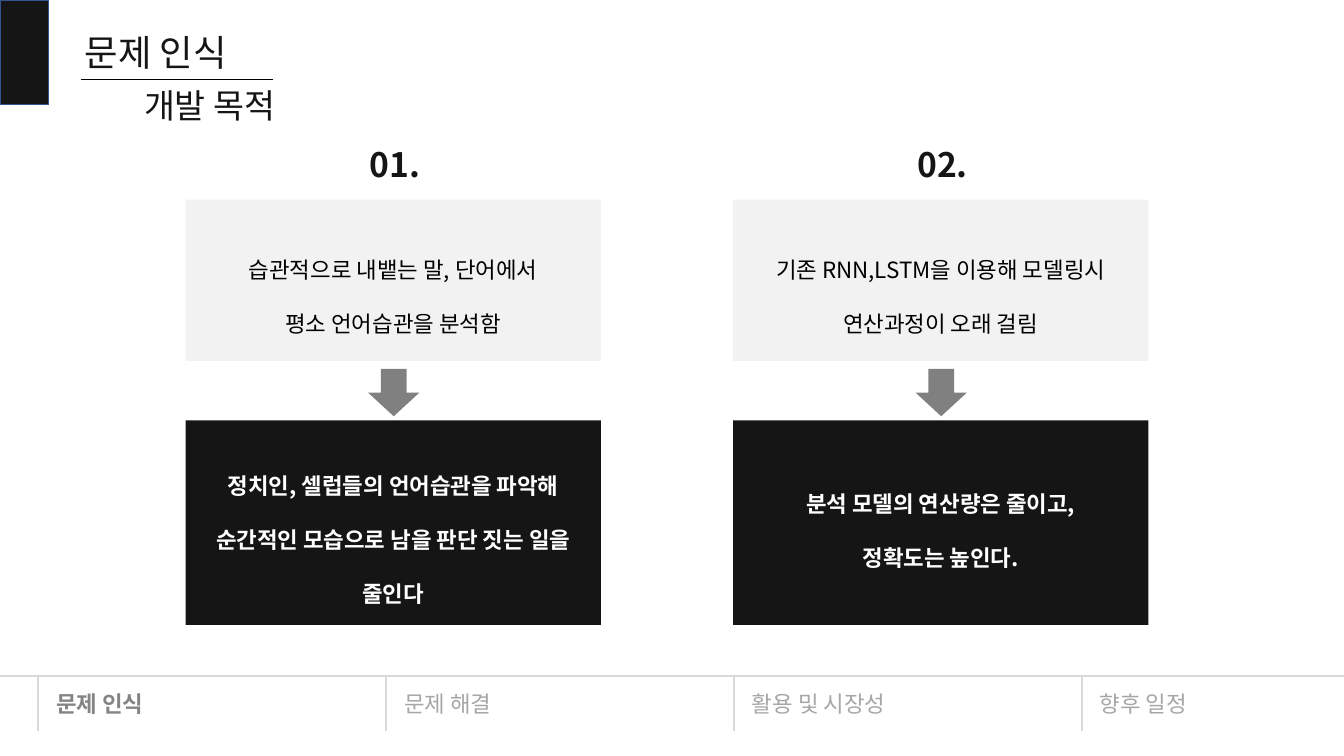
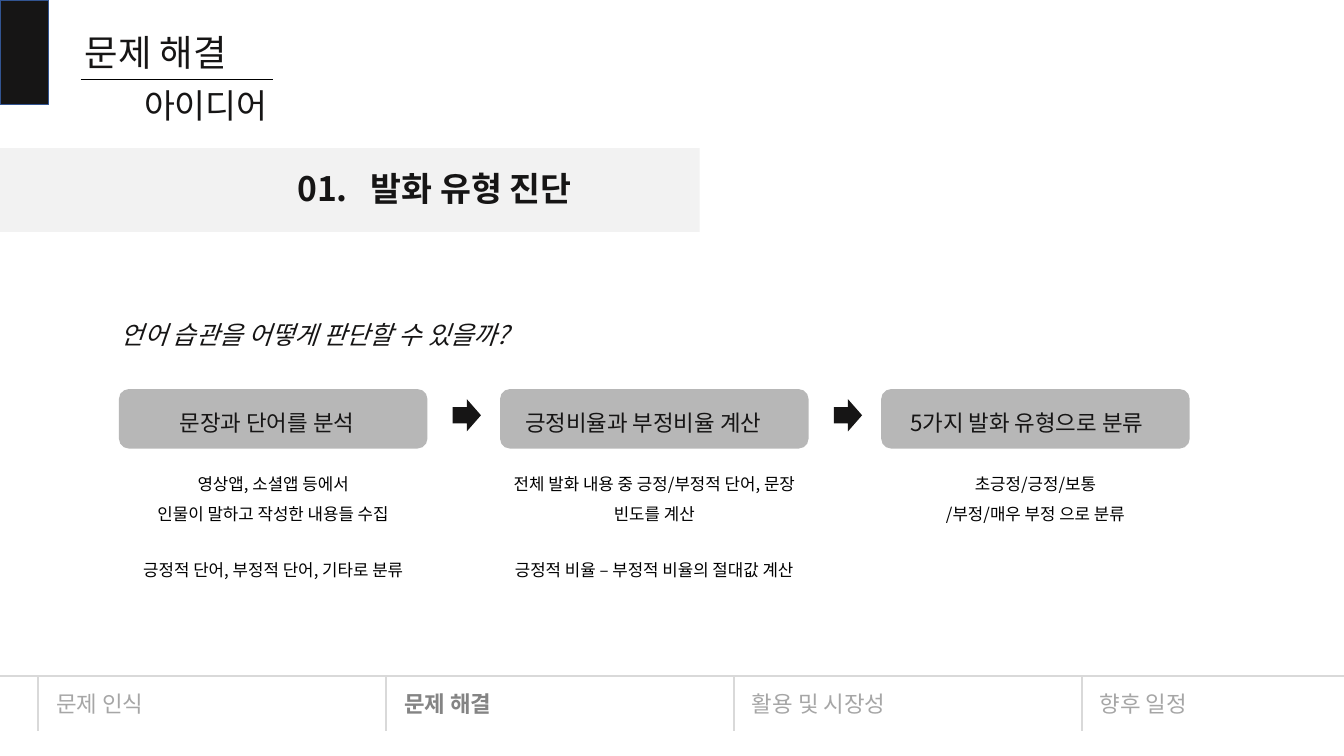
from dataclasses import dataclass

from lxml import etree
from pptx import Presentation
from pptx.dml.color import RGBColor
from pptx.enum import shapes, text
from pptx.oxml.ns import qn
from pptx.util import Inches, Pt

SHAPE = shapes.MSO_SHAPE
CENTER = text.PP_ALIGN.CENTER


@dataclass(frozen=True)
class Theme:
    font: str = "Noto Sans CJK KR"
    ink: str = "161515"
    black: str = "000000"
    white: str = "FFFFFF"
    panel: str = "F2F2F2"
    card: str = "B7B7B7"
    arrow: str = "808080"
    rule: str = "D9D9D9"
    tab: str = "A6A6A6"
    active_tab: str = "848484"
    marker_line: str = "325491"
    title: int = 26
    heading: int = 24
    question: int = 18
    body: int = 16
    detail: int = 12


THEME = Theme()
SLIDE_WIDTH, SLIDE_HEIGHT = 13.33, 7.5
SECTIONS = ["문제 인식", "문제 해결", "활용 및 시장성", "향후 일정"]

# Each purpose: number, problem (width, lines), goal (top, height, lines)
PURPOSES = [
    ("01.",
     (3.34, ["습관적으로 내뱉는 말, 단어에서 평소 언어습관을 분석함"]),
     (4.37, 1.64, ["정치인, 셀럽들의 언어습관을 파악해 순간적인 모습으로 "
                   "남을 판단 짓는 일을 줄인다"])),
    ("02.",
     (3.73, ["기존 RNN,LSTM을 이용해 모델링시", "연산과정이 오래 걸림"]),
     (4.55, 1.1, ["분석 모델의 연산량은 줄이고,", "정확도는 높인다."])),
]

IDEA_HEADING = "01.\t발화 유형 진단"
IDEA_QUESTION = "언어 습관을 어떻게 판단할 수 있을까?"
# Each step: label, label width, detail blocks
STEPS = [
    ("문장과 단어를 분석", 2.05,
     [["영상앱, 소셜앱 등에서", "인물이 말하고 작성한 내용들 수집"],
      ["긍정적 단어, 부정적 단어, 기타로 분류"]]),
    ("긍정비율과 부정비율 계산", 2.76,
     [["전체 발화 내용 중 긍정/부정적 단어, 문장 빈도를 계산"],
      ["긍정적 비율 – 부정적 비율의 절대값 계산"]]),
    ("5가지 발화 유형으로 분류", 2.68,
     [["초긍정/긍정/보통", "/부정/매우 부정 으로 분류"]]),
]
DETAIL_ROWS = [(4.55, 0.67), (5.4, 0.37)]


def rgb(color):
    return RGBColor.from_string(color)


def add_block(slide, kind, left, top, width, height, fill, line=None):
    shape = slide.shapes.add_shape(
        kind, Inches(left), Inches(top), Inches(width), Inches(height))
    shape.shadow.inherit = False
    shape.fill.solid()
    shape.fill.fore_color.rgb = rgb(fill)
    if line:
        shape.line.color.rgb = rgb(line)
        shape.line.width = Pt(1)
    else:
        shape.line.fill.background()


def add_text(slide, lines, left, top, width, height, size, color=THEME.ink,
             bold=False, italic=False, align=None, spacing=None, tab=None):
    box = slide.shapes.add_textbox(
        Inches(left), Inches(top), Inches(width), Inches(height))
    frame = box.text_frame
    frame.word_wrap = True
    frame.auto_size = text.MSO_AUTO_SIZE.SHAPE_TO_FIT_TEXT
    for index, line in enumerate(lines):
        paragraph = frame.add_paragraph() if index else frame.paragraphs[0]
        paragraph.text = line
        paragraph.alignment = align
        paragraph.line_spacing = spacing
        properties = paragraph._p.get_or_add_pPr()
        if tab:
            tabs = etree.SubElement(properties, qn("a:tabLst"))
            etree.SubElement(tabs, qn("a:tab"), pos=str(Inches(tab)), algn="l")
        font = paragraph.font
        font.name, font.size = THEME.font, Pt(size)
        font.bold, font.italic = bold, italic
        font.color.rgb = rgb(color)
        etree.SubElement(properties.find(qn("a:defRPr")), qn("a:ea"),
                         typeface=THEME.font)


def add_rule(slide, x1, y1, x2, y2, color=THEME.rule, width=1.25):
    line = slide.shapes.add_connector(
        shapes.MSO_CONNECTOR.STRAIGHT,
        Inches(x1), Inches(y1), Inches(x2), Inches(y2))
    line.line.color.rgb = rgb(color)
    line.line.width = Pt(width)
    etree.SubElement(line._element.spPr, qn("a:effectLst"))


def add_frame(slide, section, subtitle):
    """Draw the corner marker, the two-line title and the section footer."""
    add_block(slide, SHAPE.RECTANGLE, 0, 0, 0.48, 1.04, THEME.ink,
              THEME.marker_line)
    add_text(slide, [section], 0.74, 0.25, 5.51, 0.54, THEME.title)
    add_text(slide, [subtitle], 1.33, 0.79, 1.98, 0.5, THEME.heading)
    add_rule(slide, 0.8, 0.79, 2.71, 0.79, THEME.black, 0.5)

    footer_top = 6.71
    add_rule(slide, 0, footer_top, SLIDE_WIDTH, footer_top)
    for index, name in enumerate(SECTIONS):
        left = 0.38 + 3.45 * index
        active = name == section
        add_rule(slide, left, footer_top, left, footer_top + 0.54)
        add_text(slide, [name], left + 0.08, 6.8, 1.98, 0.37, THEME.body,
                 THEME.active_tab if active else THEME.tab, bold=active)


def build_purpose(slide):
    panel_width = 4.12
    for index, (number, problem, goal) in enumerate(PURPOSES):
        left = 1.84 + 5.43 * index
        center = left + panel_width / 2
        add_block(slide, SHAPE.RECTANGLE, left, 1.98, panel_width, 1.6,
                  THEME.panel)
        add_block(slide, SHAPE.RECTANGLE, left, 4.17, panel_width, 2.03,
                  THEME.ink)
        add_block(slide, SHAPE.DOWN_ARROW, center - 0.25, 3.66, 0.51, 0.47,
                  THEME.arrow)
        add_text(slide, [number], left + 1.73, 1.38, 1.18, 0.5, THEME.heading,
                 bold=True)
        width, lines = problem
        add_text(slide, lines, center - width / 2, 2.23, width, 1.1,
                 THEME.body, THEME.black, align=CENTER, spacing=2.0)
        top, height, lines = goal
        add_text(slide, lines, center - 1.9, top, 3.8, height, THEME.body,
                 THEME.white, bold=True, align=CENTER, spacing=2.0)


def build_idea(slide):
    add_block(slide, SHAPE.RECTANGLE, 0, 1.47, 6.94, 0.83, THEME.panel)
    add_text(slide, [IDEA_HEADING], 2.85, 1.62, 3.55, 0.5, THEME.heading,
             bold=True, tab=0.73)
    add_text(slide, [IDEA_QUESTION], 1.1, 2.97, 5.61, 0.5, THEME.question,
             italic=True, spacing=1.5)

    card_width, pitch, detail_width = 3.06, 3.78, 3.34
    for index, (label, label_width, details) in enumerate(STEPS):
        left = 1.18 + pitch * index
        center = left + card_width / 2
        add_block(slide, SHAPE.ROUNDED_RECTANGLE, left, 3.86, card_width, 0.59,
                  THEME.card)
        add_text(slide, [label], center - label_width / 2, 3.88, label_width,
                 0.46, THEME.body, spacing=1.5)
        for lines, (top, height) in zip(details, DETAIL_ROWS):
            add_text(slide, lines, center - detail_width / 2, top,
                     detail_width, height, THEME.detail, THEME.black,
                     align=CENTER, spacing=1.5)
        if index:
            add_block(slide, SHAPE.RIGHT_ARROW, left - 0.47, 3.96, 0.28, 0.32,
                      THEME.ink)


def main():
    presentation = Presentation()
    presentation.slide_width = Inches(SLIDE_WIDTH)
    presentation.slide_height = Inches(SLIDE_HEIGHT)
    pages = [(SECTIONS[0], "개발 목적", build_purpose),
             (SECTIONS[1], "아이디어", build_idea)]
    for section, subtitle, build in pages:
        slide = presentation.slides.add_slide(presentation.slide_layouts[6])
        add_frame(slide, section, subtitle)
        build(slide)
    presentation.save("out.pptx")


if __name__ == "__main__":
    main()
